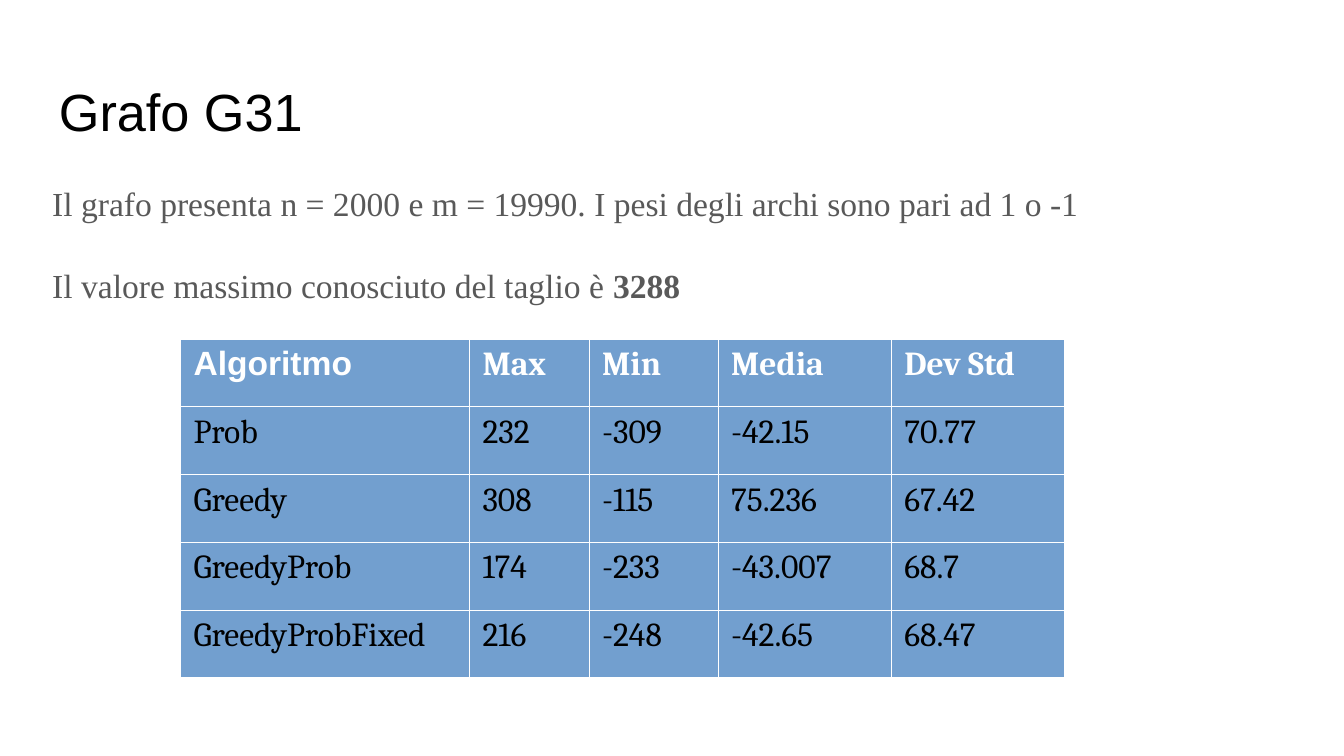
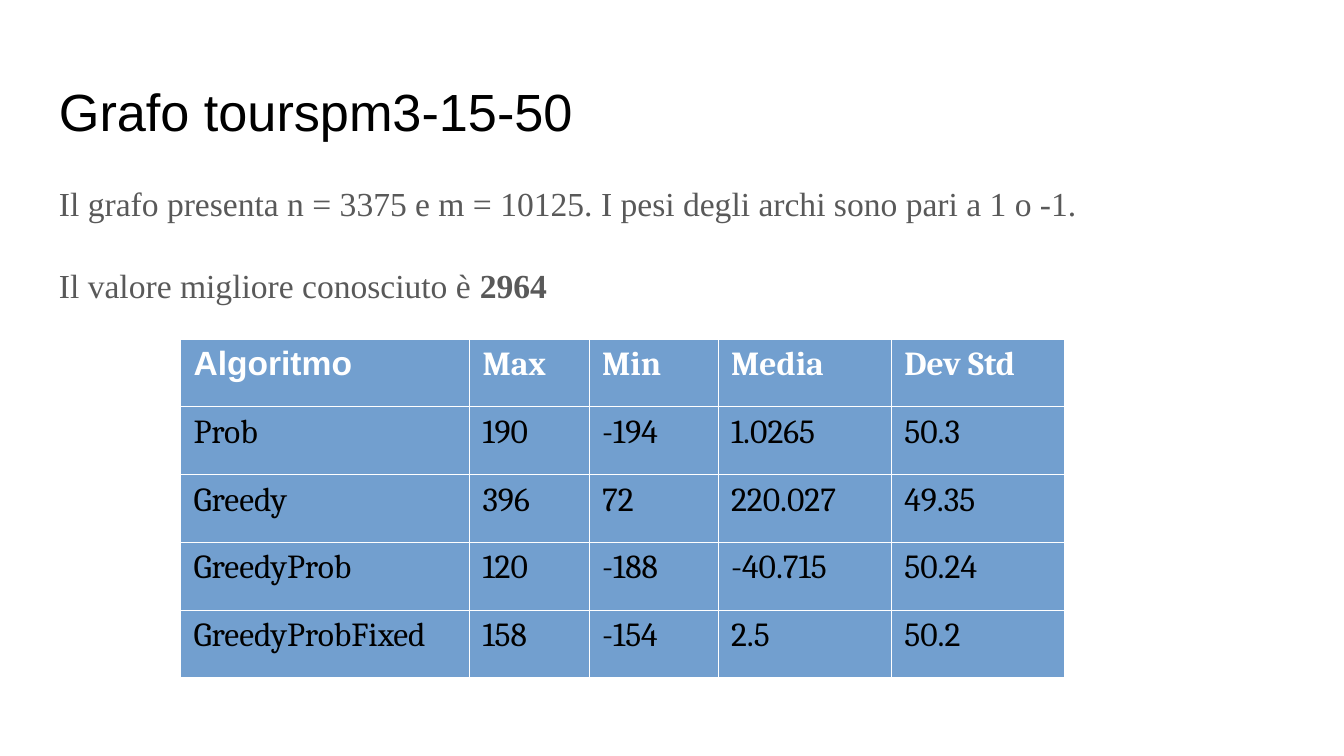
import pptx
import pptx.util
import pptx.dml.color
import pptx.enum.text
import pptx.oxml
import pptx.oxml.ns

Inch, Pt = pptx.util.Inches, pptx.util.Pt
Align = pptx.enum.text.PP_ALIGN

THEME = {
    "black": "000000", "white": "FFFFFF", "grey": "595959", "blue": "729FCF",
    "sans": "Arial", "serif": "Times New Roman", "book": "Cambria",
    "title": 28, "body": 18, "gap": 22.5, "edge": 0.06,
}

WIDE = 10
HIGH = WIDE * 9 / 16
LEFT, SPAN = 0.34, 9.32
TABLE = (1.34, 2.52)
COLS = (2.15, 0.89, 0.96, 1.29, 1.29)
TALL = 2.52
HEAD = ("Algoritmo", "Max", "Min", "Media", "Dev Std")

SLIDES = [
    {
        "title": "Grafo G31",
        "left": 0.29,
        "align": Align.JUSTIFY,
        "text": [
            [("Il grafo presenta n = 2000 e m = 19990. I pesi degli archi sono pari ad 1 o -1", False)],
            [("Il valore massimo conosciuto del taglio è ", False), ("3288", True)],
        ],
        "rows": [
            ("Prob", "232", "-309", "-42.15", "70.77"),
            ("Greedy", "308", "-115", "75.236", "67.42"),
            ("GreedyProb", "174", "-233", "-43.007", "68.7"),
            ("GreedyProbFixed", "216", "-248", "-42.65", "68.47"),
        ],
    },
    {
        "title": "Grafo tourspm3-15-50",
        "left": LEFT,
        "align": Align.LEFT,
        "text": [
            [("Il grafo presenta n = 3375 e m = 10125. I pesi degli archi sono pari a 1 o -1.", False)],
            [("Il valore migliore conosciuto è ", False), ("2964", True)],
        ],
        "rows": [
            ("Prob", "190", "-194", "1.0265", "50.3"),
            ("Greedy", "396", "72", "220.027", "49.35"),
            ("GreedyProb", "120", "-188", "-40.715", "50.24"),
            ("GreedyProbFixed", "158", "-154", "2.5", "50.2"),
        ],
    },
]


def tint(name):
    return pptx.dml.color.RGBColor.from_string(THEME[name])


def write(frame, paras, font, size, color, gap=0, align=Align.LEFT):
    for i, runs in enumerate(paras):
        para = frame.add_paragraph() if i else frame.paragraphs[0]
        para.alignment = Align.LEFT if i else align
        if i:
            para.space_before = Pt(gap)
        for text, bold in runs:
            run = para.add_run()
            run.text = text
            run.font.name = THEME[font]
            run.font.size = Pt(THEME[size])
            run.font.bold = bold
            run.font.color.rgb = tint(color)


def box(slide, left, top, high, paras, **style):
    frame = slide.shapes.add_textbox(Inch(left), Inch(top), Inch(SPAN), Inch(high)).text_frame
    frame.word_wrap = True
    frame.vertical_anchor = pptx.enum.text.MSO_ANCHOR.TOP
    frame.margin_left = frame.margin_right = Inch(0.1)
    frame.margin_top = frame.margin_bottom = Inch(0.1)
    write(frame, paras, **style)


def edge(cell):
    props = cell._tc.get_or_add_tcPr()
    for i, side in enumerate(("lnL", "lnR", "lnT", "lnB")):
        props.insert(i, pptx.oxml.parse_xml(
            f'<a:{side} {pptx.oxml.ns.nsdecls("a")} w="{Pt(THEME["edge"])}"><a:solidFill>'
            f'<a:srgbClr val="{THEME["white"]}"/></a:solidFill></a:{side}>'))


def grid(slide, rows):
    data = [HEAD] + rows
    left, top = TABLE
    table = slide.shapes.add_table(len(data), len(COLS), Inch(left), Inch(top),
                                   Inch(sum(COLS)), Inch(TALL)).table
    table.horz_banding = False
    for col, wide in zip(table.columns, COLS):
        col.width = Inch(wide)
    for r, line in enumerate(data):
        table.rows[r].height = Inch(TALL / len(data))
        for c, text in enumerate(line):
            cell = table.cell(r, c)
            cell.fill.solid()
            cell.fill.fore_color.rgb = tint("blue")
            edge(cell)
            head = r == 0
            write(cell.text_frame, [[(text, head)]],
                  font="sans" if head and c == 0 else "book",
                  size="body", color="white" if head else "black")


def main():
    deck = pptx.Presentation()
    deck.slide_width, deck.slide_height = Inch(WIDE), Inch(HIGH)
    for item in SLIDES:
        slide = deck.slides.add_slide(deck.slide_layouts[6])
        slide.background.fill.solid()
        slide.background.fill.fore_color.rgb = tint("white")
        box(slide, LEFT, 0.49, 0.63, [[(item["title"], False)]],
            font="sans", size="title", color="black")
        box(slide, item["left"], 1.26, 3.74, item["text"],
            font="serif", size="body", color="grey",
            gap=THEME["gap"], align=item["align"])
        grid(slide, item["rows"])
    deck.save("out.pptx")


if __name__ == "__main__":
    main()
